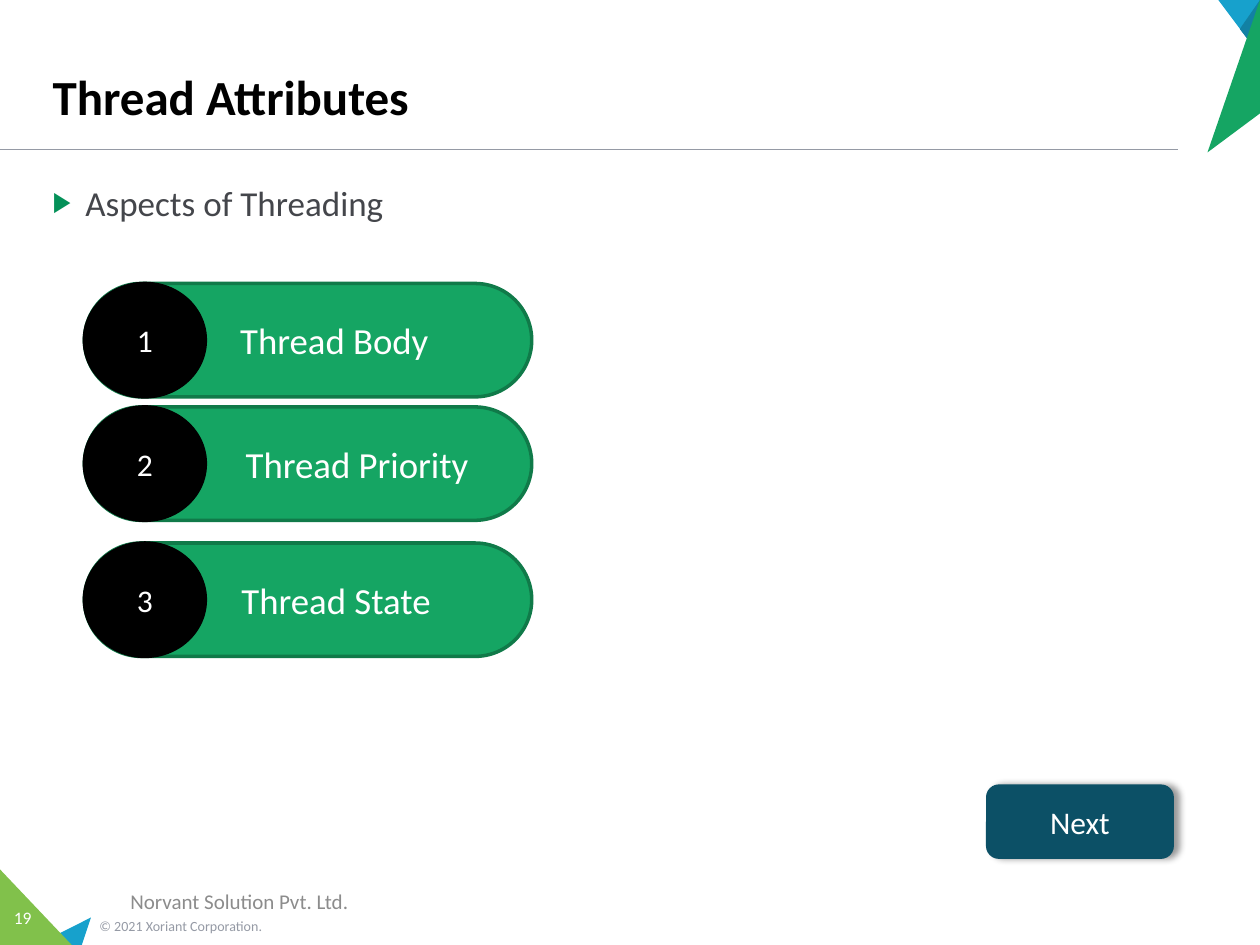
from pptx import Presentation
from pptx.dml.color import RGBColor
from pptx.enum.shapes import MSO_CONNECTOR, MSO_SHAPE as SHAPE
from pptx.enum.text import MSO_ANCHOR as ANCHOR, PP_ALIGN as ALIGN
from pptx.oxml import parse_xml
from pptx.oxml.ns import nsdecls
from pptx.util import Pt

FONT = "Calibri"
GREEN, DARK_GREEN, BLUE, NAVY = "15A563", "107A49", "17A1CC", "0C5066"


def rgb(value):
    return RGBColor.from_string(value)


def xml(tag, attrs="", inner=""):
    return parse_xml(f"<a:{tag} {nsdecls('a')} {attrs}>{inner}</a:{tag}>")


def write(s, text, size, color, bold=False, align=ALIGN.LEFT, anchor=ANCHOR.MIDDLE):
    tf = s.text_frame
    tf.word_wrap = True
    tf.vertical_anchor = anchor
    tf.text = text
    p = tf.paragraphs[0]
    p.alignment = align
    font = p.runs[0].font
    font.name, font.size, font.bold = FONT, Pt(size), bold
    font.color.rgb = rgb(color)
    return p


def add_text(slide, box, text, size, color, **style):
    s = slide.shapes.add_textbox(*map(Pt, box))
    write(s, text, size, color, **style)
    return s


def add_shape(slide, kind, box, fill, line, width, text, size):
    s = slide.shapes.add_shape(kind, *map(Pt, box))
    s.shadow.inherit = False
    s.fill.solid()
    s.fill.fore_color.rgb = rgb(fill)
    s.line.color.rgb = rgb(line)
    s.line.width = Pt(width)
    write(s, text, size, "FFFFFF", align=ALIGN.CENTER)
    return s


def add_triangle(slide, points, color):
    start, *rest = [(Pt(x), Pt(y)) for x, y in points]
    builder = slide.shapes.build_freeform(*start)
    builder.add_line_segments(rest, close=True)
    s = builder.convert_to_shape()
    s.shadow.inherit = False
    s.fill.solid()
    s.fill.fore_color.rgb = rgb(color)
    s.line.fill.background()


def add_rule(slide, x1, y1, x2, y2, color):
    s = slide.shapes.add_connector(MSO_CONNECTOR.STRAIGHT, *map(Pt, (x1, y1, x2, y2)))
    s.line.color.rgb = rgb(color)
    s.line.width = Pt(1)
    s._element.spPr.append(xml("effectLst"))


def add_bullet(slide, box, text):
    s = slide.shapes.add_textbox(*map(Pt, box))
    p = write(s, text, 20, "44464B", anchor=ANCHOR.TOP)
    p.space_after = Pt(3)
    pPr = p._p.get_or_add_pPr()
    pPr.set("marL", str(Pt(18.72)))
    pPr.set("indent", str(-Pt(18.72)))
    pPr.append(xml("buClr", inner='<a:srgbClr val="049159"/>'))
    pPr.append(xml("buSzPct", 'val="80000"'))
    pPr.append(xml("buFont", f'typeface="{FONT}"'))
    pPr.append(xml("buChar", 'char="▶"'))


def add_pill(slide, top, number, label, indent):
    left, height = 48.24, 64.8
    s = add_shape(slide, SHAPE.ROUNDED_RECTANGLE, (left, top, 255.6, height),
                  GREEN, DARK_GREEN, 2, label, 21)
    s.adjustments[0] = 0.5
    s.text_frame.paragraphs[0]._p.get_or_add_pPr().set("marL", str(Pt(indent)))
    add_shape(slide, SHAPE.OVAL, (left, top, 69.12, height),
              "000000", "000000", 2, number, 18)


def add_button(slide, box, text):
    s = add_shape(slide, SHAPE.ROUNDED_RECTANGLE, box, NAVY, NAVY, 0.75, text, 18)
    shadow = xml("outerShdw", f'blurRad="{Pt(4)}" dist="{Pt(3)}" dir="0" algn="l" rotWithShape="0"',
                 '<a:srgbClr val="000000"><a:alpha val="40000"/></a:srgbClr>')
    s._element.spPr.effectLst.append(shadow) if hasattr(s._element.spPr, "effectLst") \
        else s._element.spPr.append(shadow)


def main():
    prs = Presentation()
    prs.slide_width, prs.slide_height = Pt(720), Pt(540)
    slide = prs.slides.add_slide(prs.slide_layouts[6])

    # Corner decoration and header rule
    add_rule(slide, 0, 85.5, 673.2, 85.5, "959AA5")
    for points, color in [
        ([(52, 524.3), (46.8, 540), (20.9, 540)], BLUE),
        ([(0, 496.8), (41, 540), (0, 540)], "81C14B"),
        ([(696.2, 0), (720, 0), (720, 31.7)], BLUE),
        ([(708.5, 16.6), (720, 0), (720, 31.7)], "1281A3"),
        ([(690, 87.1), (720, 0), (720, 64.8)], GREEN),
    ]:
        add_triangle(slide, points, color)

    # Title and bullet
    add_text(slide, (23, 5.8, 648, 69.1), "Thread Attributes", 28, "000000",
             bold=True, anchor=ANCHOR.BOTTOM)
    add_bullet(slide, (23, 100.1, 660.2, 409.7), "Aspects of Threading")

    # Numbered attributes: top, label, left indent
    pills = [(162, "Thread Body", 30), (232.56, "Thread Priority", 56),
             (310.32, "Thread State", 32)]
    for number, (top, label, indent) in enumerate(pills, 1):
        add_pill(slide, top, str(number), label, indent)

    add_button(slide, (563.8, 448.6, 106.6, 41.8), "Next")

    # Footer
    add_text(slide, (49.7, 520.6, 167.8, 17.3), "© 2021 Xoriant Corporation.", 8, "959AA5")
    page = add_text(slide, (0, 514.8, 25.9, 17.3), "19", 10, "FFFFFF",
                    align=ALIGN.CENTER, anchor=ANCHOR.TOP)
    page.text_frame.margin_left = page.text_frame.margin_right = 0
    add_text(slide, (0, 500.4, 273.6, 28.8), "Norvant Solution Pvt. Ltd.", 12, "8C8C8C",
             align=ALIGN.CENTER)

    prs.save("out.pptx")


if __name__ == "__main__":
    main()
